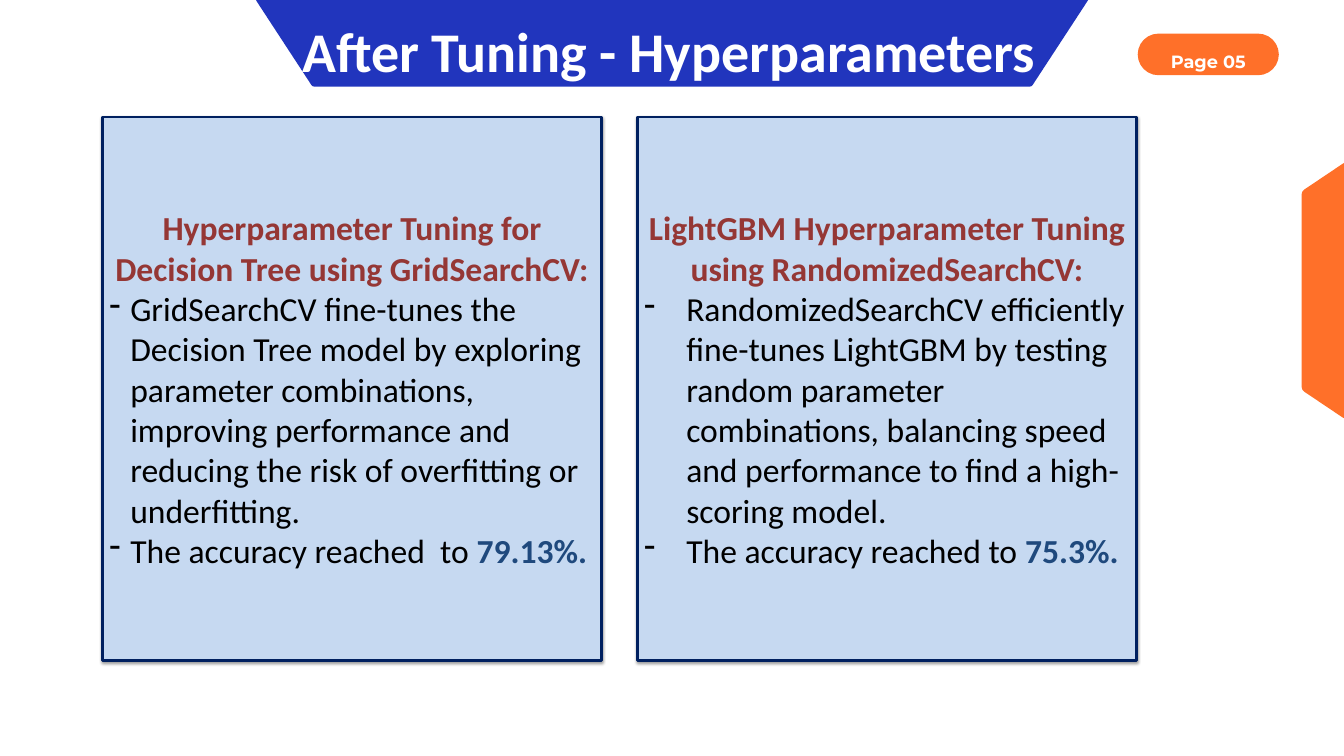
from lxml.etree import SubElement
from pptx import Presentation
from pptx.dml.color import RGBColor
from pptx.enum.shapes import MSO_SHAPE
from pptx.enum.text import MSO_ANCHOR, MSO_AUTO_SIZE, PP_ALIGN
from pptx.oxml.ns import qn
from pptx.util import Pt

TITLE = "After Tuning - Hyperparameters"
PAGE = "Page 05"
BLUE, ORANGE, WHITE = "2135BD", "FF7029", "FFFFFF"

# heading, body, accuracy lead-in, accuracy, bullet indent
CARDS = [
    ("Hyperparameter Tuning for Decision Tree using GridSearchCV:",
     "GridSearchCV fine-tunes the Decision Tree model by exploring parameter "
     "combinations, improving performance and reducing the risk of "
     "overfitting or underfitting.",
     "The accuracy reached  to ", "79.13%.", 22.5),
    ("LightGBM Hyperparameter Tuning using RandomizedSearchCV:",
     "RandomizedSearchCV efficiently fine-tunes LightGBM by testing random "
     "parameter combinations, balancing speed and performance to find a "
     "high-scoring model.",
     "The accuracy reached to ", "75.3%.", 45),
]
LEFT, TOP, WIDTH, HEIGHT, GAP = 110, 125.3, 534.4, 582.4, 38.8

# one quarter of each hexagon, from its centre: side point to top point
BANNER = [(445.7, 0), (445, 1.4), (386.6, 90.7), (385.3, 92.2), (383, 92.9)]
TAB = [(47.5, 103.7), (46.7, 106.2), (44.6, 108.4), (2.9, 136.4), (0, 137.5)]


def color(text):
    return RGBColor.from_string(text)


def paint(shape, fill):
    shape.shadow.inherit = False
    shape.fill.solid()
    shape.fill.fore_color.rgb = color(fill)
    shape.line.fill.background()


def style(font, size, fill, bold=False, name="Calibri"):
    font.size, font.bold, font.name = Pt(size), bold, name
    font.color.rgb = color(fill)


def hexagon(shapes, x, y, quarter, fill):
    """Mirror a quarter outline about (x, y) into a closed shape."""
    back = quarter[::-1]
    turns = [(quarter, 1, 1), (back, -1, 1), (quarter, -1, -1), (back, 1, -1)]
    points = [(Pt(x + h * dx), Pt(y + v * dy))
              for part, h, v in turns for dx, dy in part]
    outline = shapes.build_freeform(*points[0], scale=1.0)
    outline.add_line_segments(points[1:], close=True)
    paint(outline.convert_to_shape(), fill)


def drop_shadow(shape):
    effects = shape.element.spPr.find(qn("a:effectLst"))
    outer = SubElement(effects, qn("a:outerShdw"), blurRad=str(Pt(3.1)),
                       dist=str(Pt(1.6)), dir="5400000", rotWithShape="0")
    black = SubElement(outer, qn("a:srgbClr"), val="000000")
    SubElement(black, qn("a:alpha"), val="38000")


def dash(para, indent):
    props = para._p.get_or_add_pPr()
    props.set("marL", str(Pt(indent)))
    props.set("indent", str(-Pt(indent)))
    SubElement(props, qn("a:buFontTx"))
    SubElement(props, qn("a:buChar"), char="-")


def add_card(shapes, x, content):
    head, body, lead, score, indent = content
    card = shapes.add_shape(MSO_SHAPE.RECTANGLE, Pt(x), Pt(TOP),
                            Pt(WIDTH), Pt(HEIGHT))
    paint(card, "C6D9F1")
    card.line.color.rgb = color("002060")
    card.line.width = Pt(3)
    drop_shadow(card)
    frame = card.text_frame
    frame.word_wrap = True
    frame.vertical_anchor = MSO_ANCHOR.MIDDLE
    para = frame.paragraphs[0]
    para.text, para.alignment = head, PP_ALIGN.CENTER
    style(para.font, 36, "953735", True)
    for text in (body, lead):
        para = frame.add_paragraph()
        para.text, para.alignment = text, PP_ALIGN.LEFT
        style(para.font, 36, "000000")
        dash(para, indent)
    run = para.add_run()
    run.text = score
    style(run.font, 36, "1F497D", True)


def set_line(shape, text, size, spacing, align, name):
    """Write one white bold line, hung from the top of a shape."""
    frame = shape.text_frame
    frame.margin_left = frame.margin_right = 0
    frame.margin_top = frame.margin_bottom = 0
    frame.vertical_anchor = MSO_ANCHOR.TOP
    frame.auto_size = MSO_AUTO_SIZE.NONE
    frame.word_wrap = True
    para = frame.paragraphs[0]
    para.text, para.alignment = text, align
    para.line_spacing = Pt(spacing)
    style(para.font, size, WHITE, True, name)


def main():
    deck = Presentation()
    deck.slide_width, deck.slide_height = Pt(1440), Pt(810)
    slide = deck.slides.add_slide(deck.slide_layouts[5])
    shapes = slide.shapes

    hexagon(shapes, 720, 0, BANNER, BLUE)
    title = shapes.title
    title.left, title.top = Pt(324), Pt(-44.6)
    title.width, title.height = Pt(900), Pt(118.8)
    set_line(title, TITLE, 60, 134, PP_ALIGN.LEFT, "Calibri")
    title.element.getparent().append(title.element)  # in front of the banner

    pill = shapes.add_shape(MSO_SHAPE.ROUNDED_RECTANGLE, Pt(1219), Pt(36),
                            Pt(151.2), Pt(44.6))
    pill.adjustments[0] = 0.5
    paint(pill, ORANGE)
    set_line(pill, PAGE, 19, 26.6, PP_ALIGN.CENTER, "Montserrat")
    pill.text_frame.margin_top = Pt(8)

    hexagon(shapes, 1442.2, 311.4, TAB, ORANGE)
    for i, content in enumerate(CARDS):
        add_card(shapes, LEFT + i * (WIDTH + GAP), content)
    deck.save("out.pptx")


if __name__ == "__main__":
    main()
